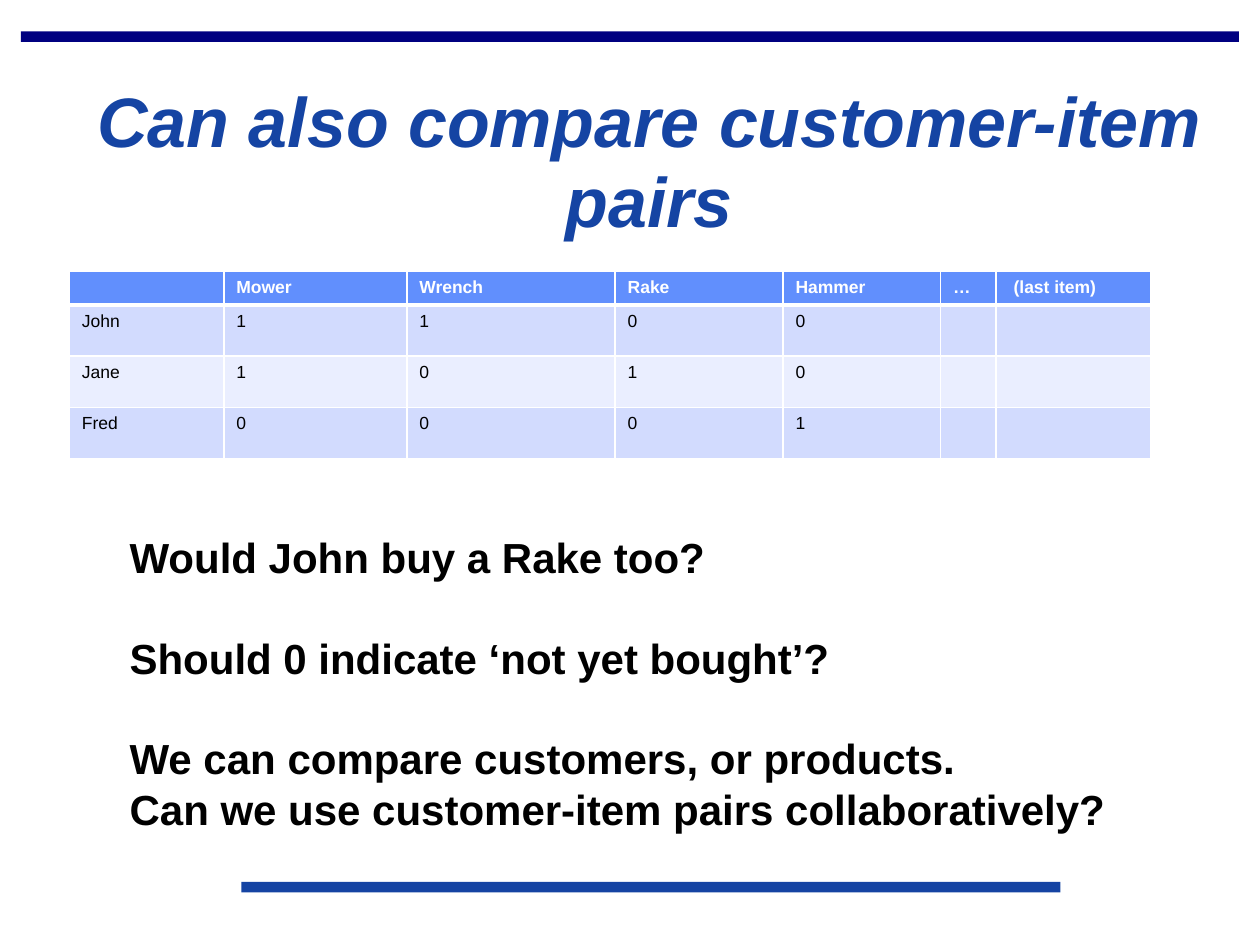
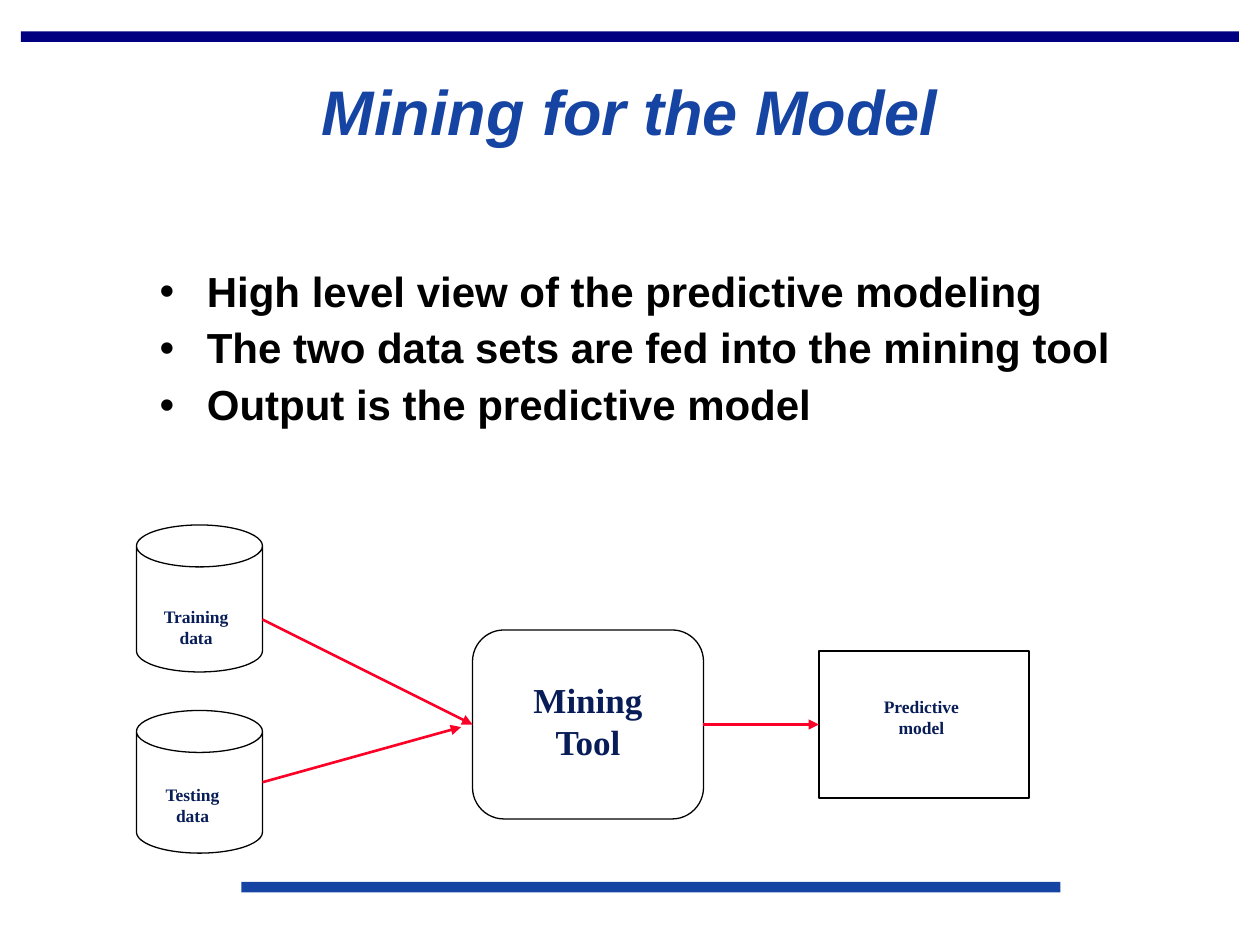
from lxml.etree import SubElement
from pptx import Presentation
from pptx.dml.color import RGBColor
from pptx.enum.shapes import MSO_CONNECTOR as LINE, MSO_SHAPE as SHAPE
from pptx.enum.text import MSO_ANCHOR as ANCHOR, MSO_AUTO_SIZE as AUTO, PP_ALIGN as ALIGN
from pptx.oxml.ns import qn
from pptx.util import Pt

BLACK, WHITE, NAVY = "000000", "FFFFFF", "000080"
BLUE, INK, RED = "1544A3", "081D58", "FC0128"
HEAD, ROW_ODD, ROW_EVEN = "618FFD", "D2DBFE", "EAEEFF"
SANS, SERIF = "Arial", "Times New Roman"


def color(hex_text):
    """Turn a hex string into a colour."""
    return RGBColor.from_string(hex_text)


def place(sp, box):
    """Move and size a shape to a box in points."""
    sp.left, sp.top, sp.width, sp.height = map(Pt, box)


def write(p, text, size, hue, font=SANS, bold=True, italic=False):
    """Add one formatted run to a paragraph."""
    r = p.add_run()
    r.text = text
    r.font.name, r.font.size = font, Pt(size)
    r.font.bold, r.font.italic = bold, italic
    r.font.color.rgb = color(hue)


def paragraphs(tf, texts):
    """Yield each text with its own paragraph of the frame."""
    for i, text in enumerate(texts):
        yield text, tf.add_paragraph() if i else tf.paragraphs[0]


def add_title(slide, text, box, size):
    """Fill the title placeholder in the shared title style."""
    sp = slide.shapes.title
    place(sp, box)
    tf = sp.text_frame
    tf.auto_size, tf.vertical_anchor = AUTO.NONE, ANCHOR.MIDDLE
    p = tf.paragraphs[0]
    p.alignment, p.line_spacing = ALIGN.CENTER, 0.95
    write(p, text, size, BLUE, italic=True)


def add_bands(slide):
    """Draw the top and bottom bands."""
    for box, hue in (((12, 18, 696, 6), NAVY), ((138, 504, 468, 6), BLUE)):
        sp = slide.shapes.add_shape(SHAPE.RECTANGLE, *map(Pt, box))
        sp.shadow.inherit = False
        sp.fill.solid()
        sp.fill.fore_color.rgb = color(hue)
        sp.line.fill.background()


def new_slide(prs, layout, title, title_box, title_size):
    """Add a slide with the bands and its title."""
    slide = prs.slides.add_slide(prs.slide_layouts[layout])
    add_bands(slide)
    add_title(slide, title, title_box, title_size)
    return slide


def border_cell(cell, widths):
    """Give a cell white borders, one width for each of its sides."""
    tc_pr = cell._tc.get_or_add_tcPr()
    for i, (side, width) in enumerate(widths.items()):
        ln = SubElement(tc_pr, qn("a:" + side), w=str(Pt(width)))
        fill = SubElement(ln, qn("a:solidFill"))
        SubElement(fill, qn("a:srgbClr"), val=WHITE)
        tc_pr.insert(i, ln)


def add_purchases(slide, left, top):
    """Draw the customer by item table."""
    rows = [
        ["", "Mower", "Wrench", "Rake", "Hammer", "…", " (last item)"],
        ["John", "1", "1", "0", "0", "", ""],
        ["Jane", "1", "0", "1", "0", "", ""],
        ["Fred", "0", "0", "0", "1", "", ""],
    ]
    widths = [88.3, 104.6, 119, 96, 90, 31.8, 88.3]
    heights = [18.5, 29.2, 29.2, 29.2]
    frame = slide.shapes.add_table(len(rows), len(widths), Pt(left), Pt(top),
                                   Pt(sum(widths)), Pt(sum(heights)))
    table = frame.table
    for col, width in zip(table.columns, widths):
        col.width = Pt(width)
    for r, texts in enumerate(rows):
        table.rows[r].height = Pt(heights[r])
        back = HEAD if r == 0 else ROW_ODD if r % 2 else ROW_EVEN
        for c, text in enumerate(texts):
            cell = table.cell(r, c)
            cell.fill.solid()
            cell.fill.fore_color.rgb = color(back)
            border_cell(cell, {"lnL": 1, "lnR": 1, "lnT": 3 if r == 1 else 1,
                               "lnB": 1 if r else 3})
            p = cell.text_frame.paragraphs[0]
            if text:
                write(p, text, 10, BLACK if r else WHITE, bold=r == 0)
            else:
                p._p.get_or_add_endParaRPr().set("sz", "1000")


def add_questions(slide, box):
    """Write the questions under the table."""
    questions = [
        ("Would John buy a Rake too?", 0),
        ("Should 0 indicate ‘not yet bought’?", 28.8),
        ("We can compare customers, or products.", 28.8),
        ("Can we use customer-item pairs collaboratively?", 0),
    ]
    tf = slide.shapes.add_textbox(*map(Pt, box)).text_frame
    tf.word_wrap = True
    for (text, gap), p in paragraphs(tf, questions):
        p.space_before = Pt(gap)
        write(p, text, 24, BLACK)


def add_bullets(slide, box, texts):
    """Fill the body placeholder with a bulleted list."""
    sp = slide.placeholders[1]
    place(sp, box)
    tf = sp.text_frame
    tf.auto_size = AUTO.NONE
    for i, (text, p) in enumerate(paragraphs(tf, texts)):
        p_pr = p._p.get_or_add_pPr()
        p_pr.set("marL", str(Pt(27)))
        p_pr.set("indent", str(Pt(-27)))
        p.line_spacing, p.space_before = 0.95, Pt(5 if i else 0)
        write(p, text, 24, BLACK)


def add_outline(slide, kind, box):
    """Draw an unfilled diagram shape."""
    sp = slide.shapes.add_shape(kind, *map(Pt, box))
    sp.shadow.inherit = False
    sp.fill.background()
    sp.line.color.rgb = color(BLACK)
    sp.line.width = Pt(0.75)
    if kind == SHAPE.CAN:
        sp.adjustments[0] = 0.333
    return sp


def add_label(slide, box, lines, size, wrap=False):
    """Write a centred diagram label."""
    tf = slide.shapes.add_textbox(*map(Pt, box)).text_frame
    tf.word_wrap, tf.vertical_anchor = wrap, ANCHOR.MIDDLE
    for text, p in paragraphs(tf, lines):
        p.alignment = ALIGN.CENTER
        write(p, text, size, INK, SERIF)


def add_arrow(slide, start, end):
    """Draw a red arrow between two points."""
    cn = slide.shapes.add_connector(LINE.STRAIGHT, *map(Pt, (*start, *end)))
    cn.line.color.rgb = color(RED)
    cn.line.width = Pt(1.5)
    SubElement(cn.line._get_or_add_ln(), qn("a:tailEnd"), type="triangle")
    SubElement(cn._element.spPr, qn("a:effectLst"))
    return cn


def add_flow(slide, left, top):
    """Draw the flow from the data sets through the tool to the model."""
    def at(x, y, *size):
        return (left + x, top + y, *size)

    add_outline(slide, SHAPE.CAN, at(0, 0, 72, 84))
    add_outline(slide, SHAPE.CAN, at(0, 106, 72, 81.5))
    tool = add_outline(slide, SHAPE.FLOWCHART_ALTERNATE_PROCESS, at(192, 60, 132, 108))
    model = add_outline(slide, SHAPE.FLOWCHART_PROCESS, at(390, 72, 120, 84))

    add_label(slide, at(-4, 33.5, 76, 50), ["Training", "data"], 10)
    add_label(slide, at(-2, 115.5, 68, 89), ["Testing", "data"], 10)
    add_label(slide, at(210, 84, 96, 55.5), ["Mining Tool"], 20, wrap=True)
    add_label(slide, at(402.5, 85, 92, 50), ["Predictive", "model"], 10)

    training_arrow = add_arrow(slide, at(72, 54), at(192, 114))
    training_arrow.end_connect(tool, 1)
    add_arrow(slide, at(72, 147), at(185.5, 115.5))
    output_arrow = add_arrow(slide, at(324, 114), at(390, 114))
    output_arrow.begin_connect(tool, 3)
    output_arrow.end_connect(model, 1)


def pairs_slide(prs):
    """Build the slide on customer-item pairs."""
    slide = new_slide(prs, 5, "Can also compare customer-item pairs",
                      (23, 52.5, 696, 82), 40)
    add_purchases(slide, 39.6, 155)
    add_questions(slide, (67, 300, 620, 181.5))


def mining_slide(prs):
    """Build the slide on mining for the model."""
    slide = new_slide(prs, 1, "Mining for the Model", (12, 24, 696, 82), 36)
    add_bullets(slide, (84, 150, 559, 126), [
        "High level view of the predictive modeling",
        "The two data sets are fed into the mining tool",
        "Output is the predictive model",
    ])
    add_flow(slide, 78, 300)


def main():
    """Build and save the presentation."""
    prs = Presentation()
    prs.slide_width, prs.slide_height = Pt(720), Pt(540)
    pairs_slide(prs)
    mining_slide(prs)
    prs.save("out.pptx")


if __name__ == "__main__":
    main()
